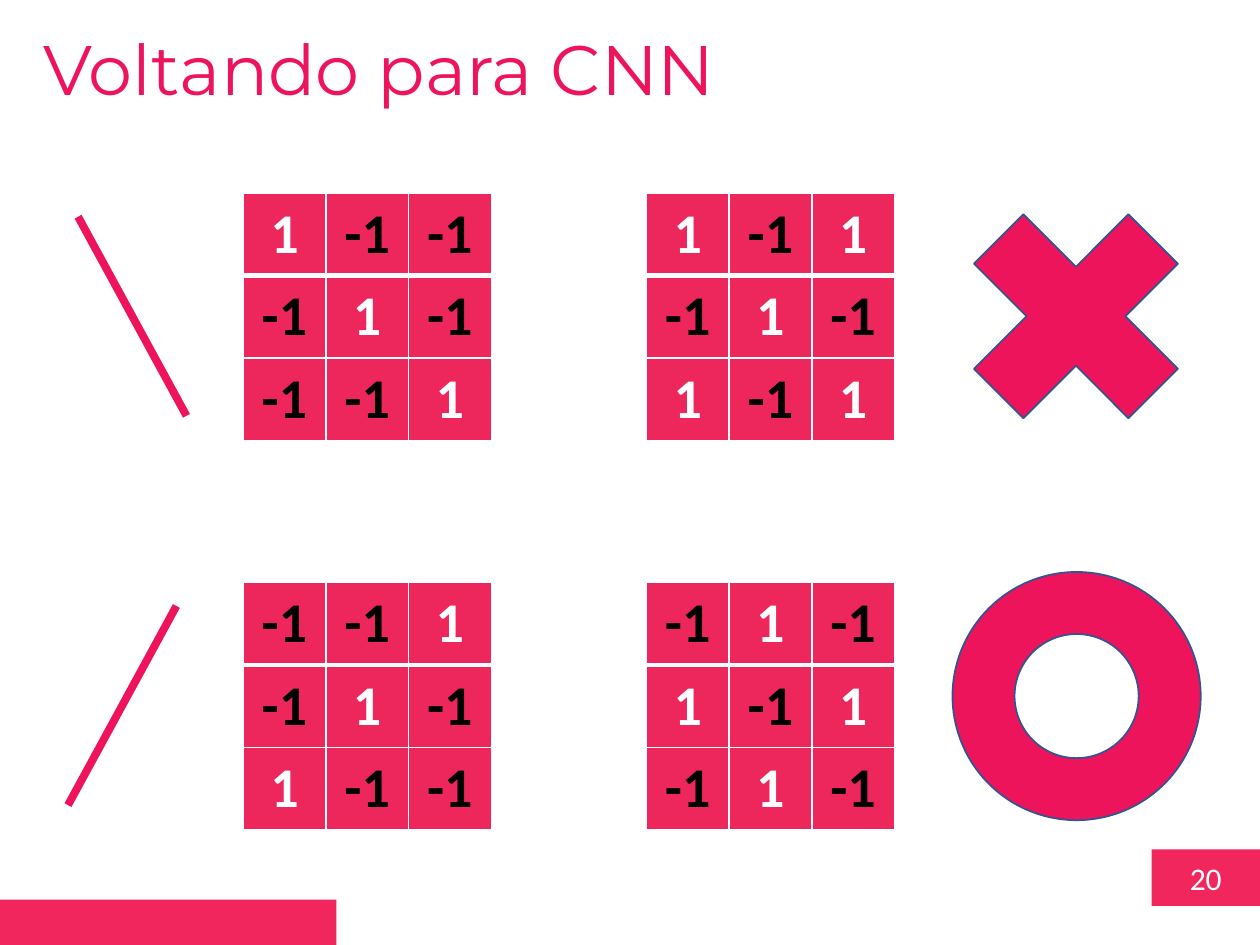
from dataclasses import dataclass

from lxml.etree import SubElement
from pptx import Presentation
from pptx.dml.color import RGBColor
from pptx.enum.shapes import MSO_CONNECTOR, MSO_SHAPE
from pptx.enum.text import MSO_ANCHOR, MSO_AUTO_SIZE, PP_ALIGN
from pptx.oxml.ns import qn
from pptx.util import Inches, Pt


@dataclass(frozen=True)
class Theme:
    pink: str = "ED145B"
    cell: str = "ED265B"
    bar: str = "F0265D"
    edge: str = "325491"
    white: str = "FFFFFF"
    black: str = "000000"
    head: str = "Montserrat"
    body: str = "Calibri"
    title: int = 40
    digit: int = 32
    page: int = 18


THEME = Theme()
WIDE, HIGH = Inches(10), Inches(7.5)
SIDE = Inches(1.97)
LEFTS = (19.3, 51.3)
TOPS = (20.4, 61.6)
GRIDS = (
    (((1, -1, -1), (-1, 1, -1), (-1, -1, 1)),
     ((1, -1, 1), (-1, 1, -1), (1, -1, 1))),
    (((-1, -1, 1), (-1, 1, -1), (1, -1, -1)),
     ((-1, 1, -1), (1, -1, 1), (-1, 1, -1))),
)


def across(share):
    return round(WIDE * share / 100)


def down(share):
    return round(HIGH * share / 100)


def place(x, y, w, h):
    return across(x), down(y), across(w), down(h)


def write(frame, text, font, size, color, bold=False, align=PP_ALIGN.LEFT):
    para = frame.paragraphs[0]
    para.alignment = align
    run = para.add_run()
    run.text = text
    run.font.name = font
    run.font.size = Pt(size)
    run.font.bold = bold
    run.font.color.rgb = RGBColor.from_string(color)


def add_form(slide, kind, box, fill, edge=None):
    form = slide.shapes.add_shape(kind, *place(*box))
    form.shadow.inherit = False
    form.fill.solid()
    form.fill.fore_color.rgb = RGBColor.from_string(fill)
    if edge:
        form.line.color.rgb = RGBColor.from_string(edge)
        form.line.width = Pt(1)
    else:
        form.line.fill.background()
    return form


def add_title(slide, text):
    box = slide.shapes.add_textbox(*place(2.5, 2, 86.1, 10.27))
    frame = box.text_frame
    frame.word_wrap = True
    frame.auto_size = MSO_AUTO_SIZE.SHAPE_TO_FIT_TEXT
    write(frame, text, THEME.head, THEME.title, THEME.pink)


def add_stroke(slide, x1, y1, x2, y2):
    line = slide.shapes.add_connector(
        MSO_CONNECTOR.STRAIGHT, across(x1), down(y1), across(x2), down(y2))
    line.line.color.rgb = RGBColor.from_string(THEME.pink)
    line.line.width = Pt(4.5)
    SubElement(line._element.spPr, qn("a:effectLst"))


def add_edges(cell, row):
    widths = {"lnL": 1, "lnR": 1, "lnT": 3 if row == 1 else 1,
              "lnB": 3 if row == 0 else 1}
    props = cell._tc.get_or_add_tcPr()
    for spot, (tag, width) in enumerate(widths.items()):
        line = SubElement(props, qn(f"a:{tag}"), w=str(Pt(width)))
        fill = SubElement(line, qn("a:solidFill"))
        SubElement(fill, qn("a:srgbClr"), val=THEME.white)
        props.insert(spot, line)


def add_grid(slide, x, y, rows):
    table = slide.shapes.add_table(
        len(rows), len(rows[0]), across(x), down(y), SIDE, SIDE).table
    for r, row in enumerate(rows):
        for c, value in enumerate(row):
            cell = table.cell(r, c)
            cell.vertical_anchor = MSO_ANCHOR.MIDDLE
            cell.fill.solid()
            cell.fill.fore_color.rgb = RGBColor.from_string(THEME.cell)
            add_edges(cell, r)
            color = THEME.white if value > 0 else THEME.black
            write(cell.text_frame, str(value), THEME.body, THEME.digit,
                  color, True, PP_ALIGN.CENTER)


def add_footer(slide, number):
    page = add_form(slide, MSO_SHAPE.RECTANGLE, (91.4, 89.87, 8.6, 6), THEME.bar)
    page.text_frame.vertical_anchor = MSO_ANCHOR.MIDDLE
    write(page.text_frame, number, THEME.body, THEME.page, THEME.white,
          align=PP_ALIGN.CENTER)
    add_form(slide, MSO_SHAPE.RECTANGLE, (0, 95.2, 26.7, 4.8), THEME.bar)


def main():
    deck = Presentation()
    deck.slide_width, deck.slide_height = WIDE, HIGH
    slide = deck.slides.add_slide(deck.slide_layouts[6])
    add_footer(slide, "20")
    add_title(slide, "Voltando para CNN")
    for y, band in zip(TOPS, GRIDS):
        for x, rows in zip(LEFTS, band):
            add_grid(slide, x, y, rows)
    add_stroke(slide, 6.2, 22.93, 14.8, 44)
    add_stroke(slide, 14, 64.13, 5.4, 85.2)
    add_form(slide, MSO_SHAPE.DONUT, (75.6, 60.53, 19.7, 26.27),
             THEME.pink, THEME.edge)
    add_form(slide, MSO_SHAPE.MATH_MULTIPLY, (73.6, 17.73, 23.6, 31.47),
             THEME.pink, THEME.edge)
    deck.save("out.pptx")


if __name__ == "__main__":
    main()
